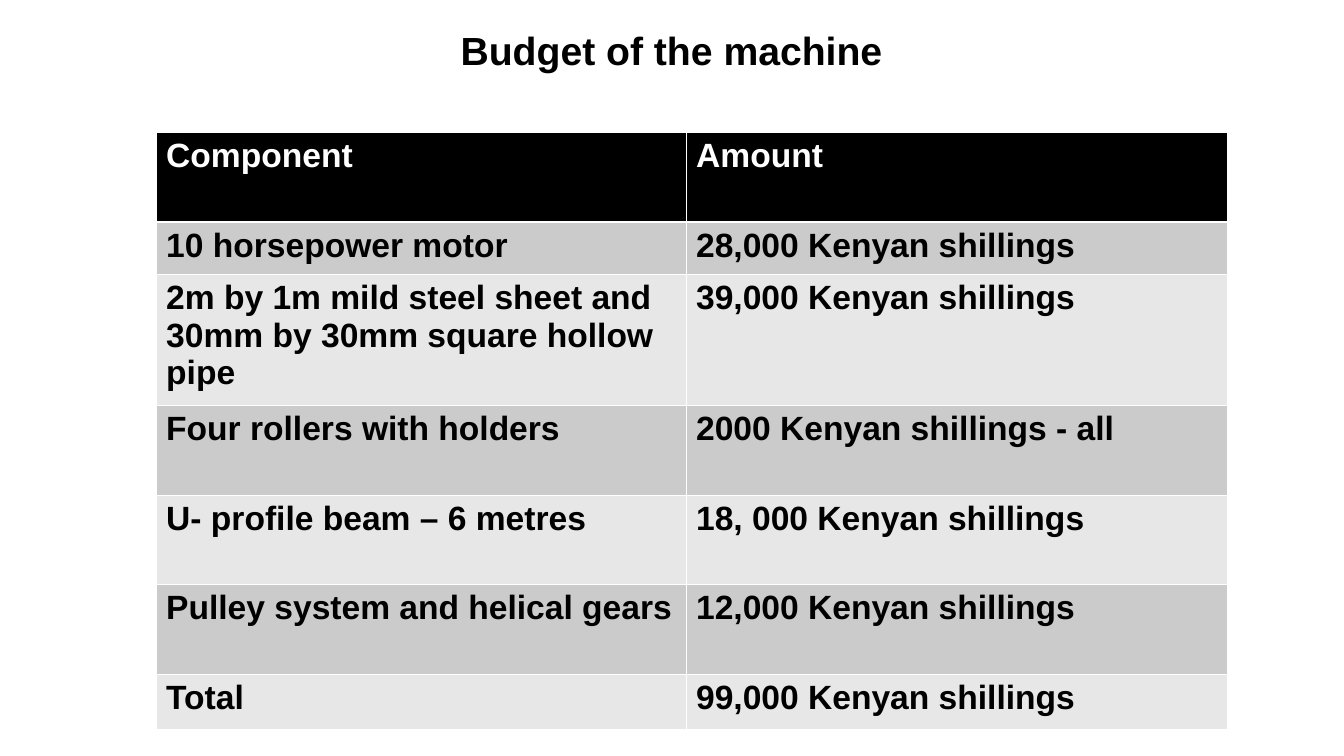
from lxml import etree
from pptx import Presentation
from pptx.dml.color import RGBColor
from pptx.enum.text import MSO_ANCHOR, MSO_AUTO_SIZE, PP_ALIGN
from pptx.oxml.ns import qn
from pptx.util import Emu, Pt

CENTER = PP_ALIGN.CENTER
TOP = MSO_ANCHOR.TOP
NO_AUTOFIT = MSO_AUTO_SIZE.NONE
TITLE_ONLY = 5
EMU_PER_PX = 9144  # 100 px to the inch

BLACK, WHITE = "000000", "FFFFFF"
BANDS = ("CBCBCB", "E7E7E7")
THIN, THICK = 0.45, 1.47

COLUMN_WIDTHS = (526, 537)
BUDGET = [
    (89, "Component", "Amount"),
    (52, "10 horsepower motor", "28,000 Kenyan shillings"),
    (130, "2m by 1m mild steel sheet and 30mm by 30mm square hollow pipe",
     "39,000 Kenyan shillings"),
    (89, "Four rollers with holders", "2000 Kenyan shillings - all"),
    (89, "U- profile beam – 6 metres", "18, 000 Kenyan shillings"),
    (89, "Pulley system and helical gears", "12,000 Kenyan shillings"),
    (55, "Total", "99,000 Kenyan shillings"),
]


def px(length):
    return Emu(length * EMU_PER_PX)


def color(value):
    return RGBColor.from_string(value)


class SlideBuilder:
    def __init__(self, slide, font_name):
        self.slide = slide
        self.font_name = font_name

    def format_text(self, frame, size, text_color):
        for para in frame.paragraphs:
            for span in para.runs:
                span.font.name = self.font_name
                span.font.size = Pt(size)
                span.font.bold = True
                span.font.color.rgb = color(text_color)

    def title(self, text, left, top, width, height):
        box = self.slide.shapes.title
        box.left, box.top, box.width, box.height = map(px, (left, top, width, height))
        frame = box.text_frame
        frame.text = text
        frame.word_wrap = True
        frame.auto_size = NO_AUTOFIT
        frame.vertical_anchor = TOP
        frame.paragraphs[0].alignment = CENTER
        self.format_text(frame, 28, BLACK)

    def border(self, cell, side, width):
        properties = cell._tc.get_or_add_tcPr()
        line = etree.SubElement(properties, qn(f"a:ln{side}"), w=str(Pt(width)))
        fill = etree.SubElement(line, qn("a:solidFill"))
        etree.SubElement(fill, qn("a:srgbClr"), val=WHITE)

    def cell(self, cell, text, row_index):
        """Fill one cell; the header row is black and the others alternate."""
        is_header = row_index == 0
        widths = {"L": THIN, "R": THIN,
                  "T": THICK if row_index == 1 else THIN,
                  "B": THICK if is_header else THIN}
        for side, width in widths.items():
            self.border(cell, side, width)
        cell.fill.solid()
        cell.fill.fore_color.rgb = color(BLACK if is_header else BANDS[(row_index - 1) % 2])
        cell.text_frame.text = text
        self.format_text(cell.text_frame, 24, WHITE if is_header else BLACK)

    def table(self, rows, column_widths, left, top):
        height = sum(row[0] for row in rows)
        frame = self.slide.shapes.add_table(
            len(rows), len(column_widths),
            px(left), px(top), px(sum(column_widths)), px(height))
        table = frame.table
        for column, width in zip(table.columns, column_widths):
            column.width = px(width)
        for row_index, (row_height, *texts) in enumerate(rows):
            table.rows[row_index].height = px(row_height)
            for column_index, text in enumerate(texts):
                self.cell(table.cell(row_index, column_index), text, row_index)


def main():
    deck = Presentation()
    deck.slide_width, deck.slide_height = px(1334), px(750)
    page = SlideBuilder(deck.slides.add_slide(deck.slide_layouts[TITLE_ONLY]), "Arial")
    page.table(BUDGET, COLUMN_WIDTHS, 155, 131)
    page.title("Budget of the machine", 143, 21, 1047, 57)
    deck.save("out.pptx")


if __name__ == "__main__":
    main()
